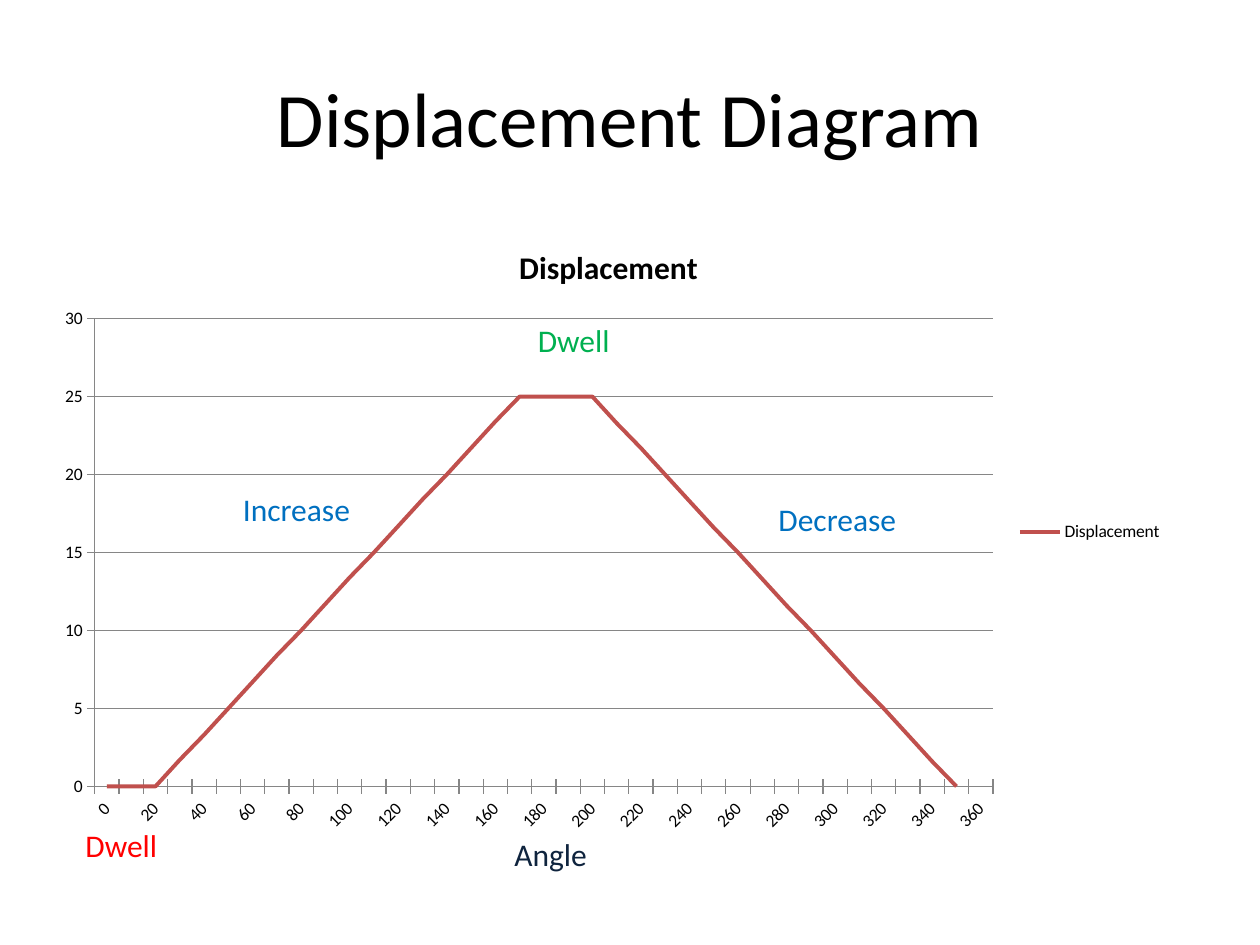
from dataclasses import dataclass

from lxml.etree import SubElement
from pptx import Presentation
from pptx.chart.data import CategoryChartData
from pptx.dml.color import RGBColor
from pptx.enum.chart import (XL_CHART_TYPE as ChartType, XL_LEGEND_POSITION as LegendPos,
                             XL_MARKER_STYLE as Marker, XL_TICK_MARK as Tick)
from pptx.enum.text import MSO_ANCHOR as Anchor, PP_ALIGN as Align
from pptx.oxml import parse_xml
from pptx.oxml.ns import nsdecls, qn
from pptx.util import Inches, Pt

W, H = Inches(10), Inches(7.5)
FONT = "Calibri"
COLORS = {"text": "000000", "angle": "0F243E", "low": "FF0000", "slope": "0070C0",
          "high": "00B050", "line": "C0504D", "grid": "868686"}
ANGLES = range(0, 361, 10)
RISE = [1.7, 3.3, 5, 6.7, 8.4, 10, 11.7, 13.4, 15, 16.7, 18.4, 20, 21.7, 23.4]
FALL = [23.3, 21.7, 20, 18.3, 16.6, 15, 13.3, 11.6, 10, 8.3, 6.6, 5, 3.3, 1.6]
LIFT = [0] * 3 + RISE + [25] * 4 + FALL + [0, None]
PLOT = {"x": 0.047, "y": 0.158, "w": 0.792, "h": 0.75}


@dataclass(frozen=True)
class Box:
    """Rectangle given as shares of the slide's width and height."""
    x: float
    y: float
    w: float
    h: float

    def emu(self) -> tuple[int, int, int, int]:
        """Return left, top, width and height in EMU."""
        return int(self.x * W), int(self.y * H), int(self.w * W), int(self.h * H)


@dataclass(frozen=True)
class Label:
    """Text with its place and look."""
    text: str
    box: Box
    color: str
    size: int = 18
    centered: bool = False
    wrap: bool = False


LABELS = [
    Label("Displacement Diagram", Box(0.05, 0.04, 0.9, 1 / 6), "text", 44, True, True),
    Label("Angle", Box(0.358, 0.877, 0.158, 0.054), "angle", centered=True, wrap=True),
    Label("Dwell", Box(0.058, 0.867, 0.078, 0.054), "low"),
    Label("Increase", Box(0.183, 0.511, 0.106, 0.054), "slope"),
    Label("Decrease", Box(0.608, 0.522, 0.115, 0.054), "slope"),
    Label("Dwell", Box(0.417, 0.333, 0.078, 0.054), "high"),
]


def rgb(name: str) -> RGBColor:
    """Look up a named colour."""
    return RGBColor.from_string(COLORS[name])


def style_font(font, size: int, color: str = "text", bold: bool = False) -> None:
    """Set typeface, size, colour and weight."""
    font.name, font.size, font.bold = FONT, Pt(size), bold
    font.color.rgb = rgb(color)


def add_label(s, label: Label) -> None:
    """Add one text box to the slide."""
    tf = s.shapes.add_textbox(*label.box.emu()).text_frame
    tf.text = label.text
    tf.word_wrap = label.wrap
    tf.vertical_anchor = Anchor.MIDDLE
    p = tf.paragraphs[0]
    p.alignment = Align.CENTER if label.centered else Align.LEFT
    style_font(p.runs[0].font, label.size, label.color)


def place_plot(chart) -> None:
    """Fix the inner plot area as shares of the chart."""
    area = chart._chartSpace.chart.plotArea
    for old in area.findall(qn("c:layout")):
        area.remove(old)
    layout = parse_xml(f"<c:layout {nsdecls('c')}/>")
    manual = SubElement(layout, qn("c:manualLayout"))
    values = {"layoutTarget": "inner", "xMode": "edge", "yMode": "edge", **PLOT}
    for tag, value in values.items():
        SubElement(manual, qn(f"c:{tag}")).set("val", str(value))
    area.insert(0, layout)


def slant_labels(axis) -> None:
    """Turn the category labels and show every second one."""
    cat = axis._element
    cat.find(qn("c:txPr")).find(qn("a:bodyPr")).set("rot", "-2700000")
    last = cat.find(qn("c:noMultiLvlLbl"))
    for tag, step in (("tickLblSkip", 2), ("tickMarkSkip", 1)):
        last.addprevious(parse_xml(f'<c:{tag} {nsdecls("c")} val="{step}"/>'))


def add_displacement_chart(s, box: Box) -> None:
    """Add the displacement line chart."""
    data = CategoryChartData()
    data.categories = [str(angle) for angle in ANGLES]
    data.add_series("Displacement", LIFT)
    chart = s.shapes.add_chart(ChartType.LINE, *box.emu(), data).chart
    style_font(chart.font, 10)
    chart.has_title = True
    tf = chart.chart_title.text_frame
    tf.text = "Displacement"
    style_font(tf.paragraphs[0].runs[0].font, 18, bold=True)
    chart.has_legend = True
    chart.legend.position = LegendPos.RIGHT
    chart.legend.include_in_layout = False
    style_font(chart.legend.font, 10)
    for axis in (chart.category_axis, chart.value_axis):
        axis.major_tick_mark = Tick.CROSS
        axis.minor_tick_mark = Tick.NONE
        axis.format.line.color.rgb = rgb("grid")
        style_font(axis.tick_labels.font, 10)
    value_axis = chart.value_axis
    value_axis.minimum_scale, value_axis.maximum_scale, value_axis.major_unit = 0, 30, 5
    value_axis.has_major_gridlines = True
    value_axis.major_gridlines.format.line.color.rgb = rgb("grid")
    slant_labels(chart.category_axis)
    plot = chart.plots[0]
    plot.vary_by_categories = False
    series = plot.series[0]
    series.smooth = False
    series.marker.style = Marker.NONE
    series.format.line.color.rgb = rgb("line")
    series.format.line.width = Pt(2.25)
    place_plot(chart)


def main() -> None:
    """Build and save the slide."""
    prs = Presentation()
    prs.slide_width, prs.slide_height = W, H
    s = prs.slides.add_slide(prs.slide_layouts[6])
    add_displacement_chart(s, Box(0.033, 0.233, 0.9, 0.66))
    for label in LABELS:
        add_label(s, label)
    prs.save("out.pptx")


if __name__ == "__main__":
    main()
